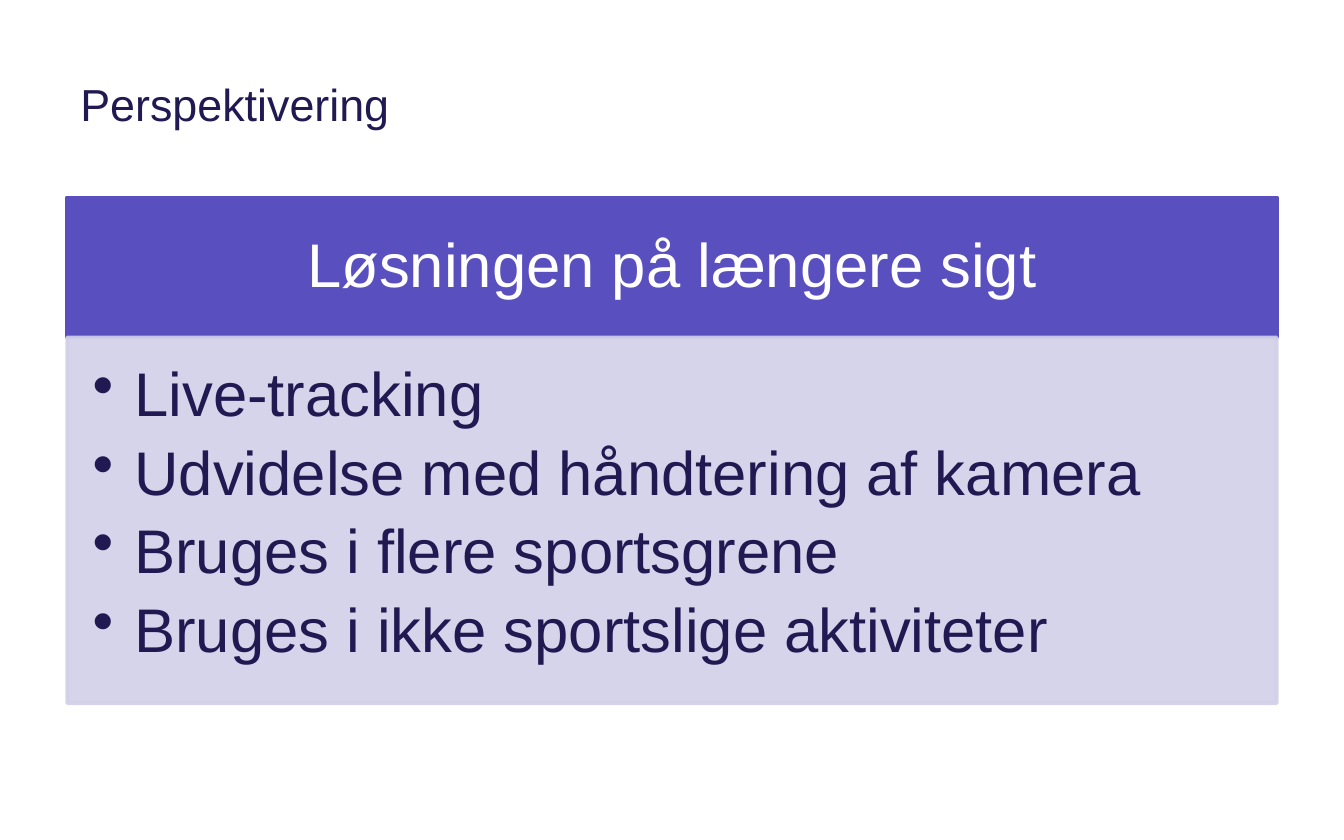
from dataclasses import dataclass

from lxml import etree
from pptx import Presentation
from pptx.dml.color import RGBColor
from pptx.enum.shapes import MSO_SHAPE
from pptx.enum.text import MSO_ANCHOR, PP_ALIGN
from pptx.oxml.ns import qn
from pptx.util import Pt

RECTANGLE = MSO_SHAPE.RECTANGLE
TOP, MIDDLE = MSO_ANCHOR.TOP, MSO_ANCHOR.MIDDLE
LEFT, CENTER = PP_ALIGN.LEFT, PP_ALIGN.CENTER

# Content
TITLE = "Perspektivering"
HEADING = "Løsningen på længere sigt"
IDEAS = [
    "Live-tracking",
    "Udvidelse med håndtering af kamera",
    "Bruges i flere sportsgrene",
    "Bruges i ikke sportslige aktiviteter",
]


@dataclass(frozen=True)
class Theme:
    font: str = "Arial"
    ink: str = "211A52"
    accent: str = "594FBF"
    tint: str = "D1D0E8"
    white: str = "FFFFFF"
    title_size: float = 24
    panel_size: float = 33


THEME = Theme()

# Layout, in points
SLIDE_W, SLIDE_H = 720, 450
MARGIN = 36
CONTENT_W = SLIDE_W - 2 * MARGIN
TITLE_TOP, BAND_H = 18, 75
HEADING_TOP, IDEAS_H = 105.8, 196
IDEAS_TOP = HEADING_TOP + BAND_H
BULLET_INDENT = 22.3


def write_text(shape, lines, *, size, color, align=LEFT, anchor=MIDDLE,
               insets=(7.2, 3.6, 7.2, 3.6), line_spacing=None,
               space_after=0, bullet=None):
    frame = shape.text_frame
    frame.word_wrap = True
    frame.vertical_anchor = anchor
    (frame.margin_left, frame.margin_top,
     frame.margin_right, frame.margin_bottom) = map(Pt, insets)
    for index, line in enumerate(lines):
        paragraph = frame.add_paragraph() if index else frame.paragraphs[0]
        paragraph.alignment = align
        paragraph.line_spacing = line_spacing
        paragraph.space_after = Pt(space_after)
        run = paragraph.add_run()
        run.text = line
        run.font.name = THEME.font
        run.font.size = Pt(size)
        run.font.color.rgb = RGBColor.from_string(color)
        if bullet:
            properties = paragraph._p.get_or_add_pPr()
            properties.set("marL", str(Pt(BULLET_INDENT)))
            properties.set("indent", str(-Pt(BULLET_INDENT)))
            etree.SubElement(properties, qn("a:buChar")).set("char", bullet)


def add_panel(slide, top, height, color, opacity=100):
    panel = slide.shapes.add_shape(
        RECTANGLE, Pt(MARGIN), Pt(top), Pt(CONTENT_W), Pt(height))
    panel.shadow.inherit = False
    panel.line.width = Pt(2)
    for fill in (panel.fill, panel.line.fill):
        fill.solid()
        fill.fore_color.rgb = RGBColor.from_string(color)
    if opacity < 100:
        for tone in panel._element.spPr.iter(qn("a:srgbClr")):
            etree.SubElement(tone, qn("a:alpha")).set("val", str(opacity * 1000))
    return panel


def main():
    deck = Presentation()
    deck.slide_width, deck.slide_height = Pt(SLIDE_W), Pt(SLIDE_H)
    slide = deck.slides.add_slide(deck.slide_layouts[6])

    # Title
    title = slide.shapes.add_textbox(
        Pt(MARGIN), Pt(TITLE_TOP), Pt(CONTENT_W), Pt(BAND_H))
    write_text(title, [TITLE], size=THEME.title_size, color=THEME.ink)

    # Heading band
    heading = add_panel(slide, HEADING_TOP, BAND_H, THEME.accent)
    write_text(heading, [HEADING], size=THEME.panel_size, color=THEME.white,
               align=CENTER, insets=(18.7, 10.8, 18.7, 10.8), line_spacing=0.9)

    # Ideas panel
    ideas = add_panel(slide, IDEAS_TOP, IDEAS_H, THEME.tint, opacity=90)
    write_text(ideas, IDEAS, size=THEME.panel_size, color=THEME.ink,
               anchor=TOP, insets=(13.7, 13.7, 18.7, 20.9),
               line_spacing=0.9, space_after=6.6, bullet="•")

    deck.save("out.pptx")


if __name__ == "__main__":
    main()
